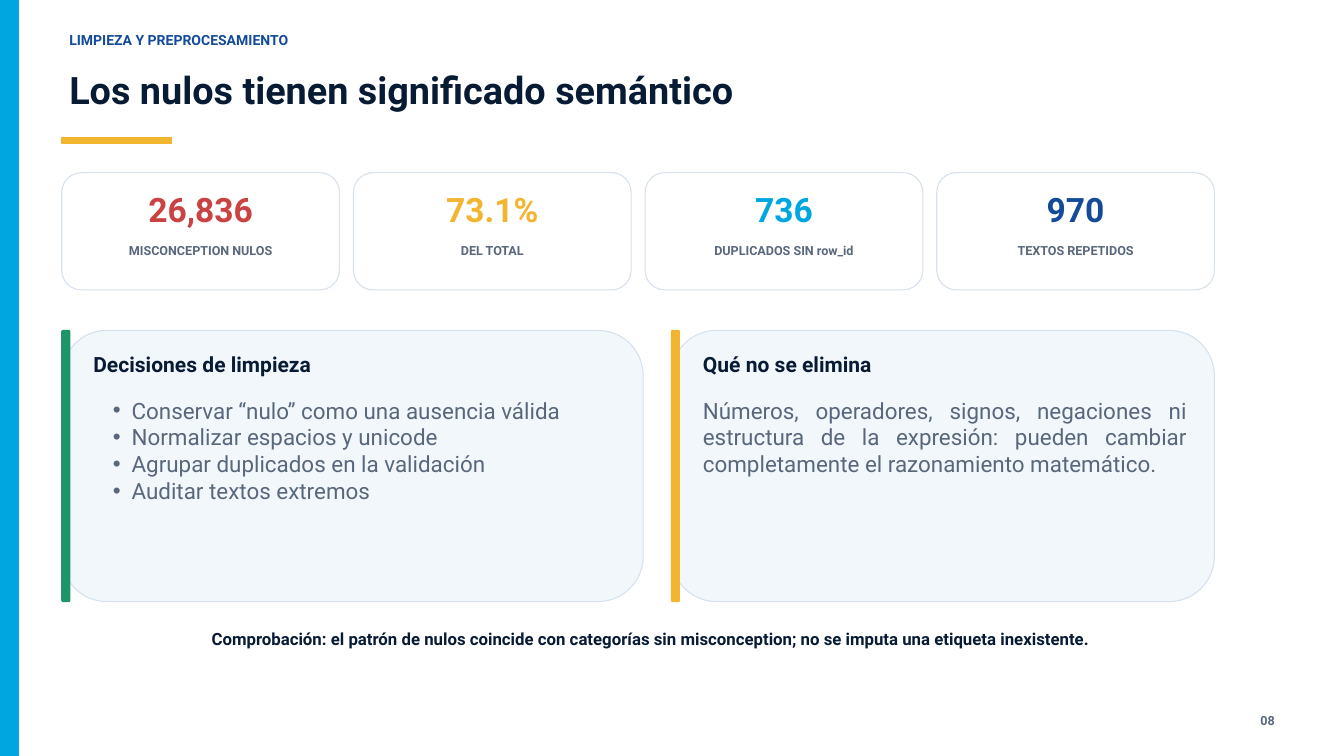
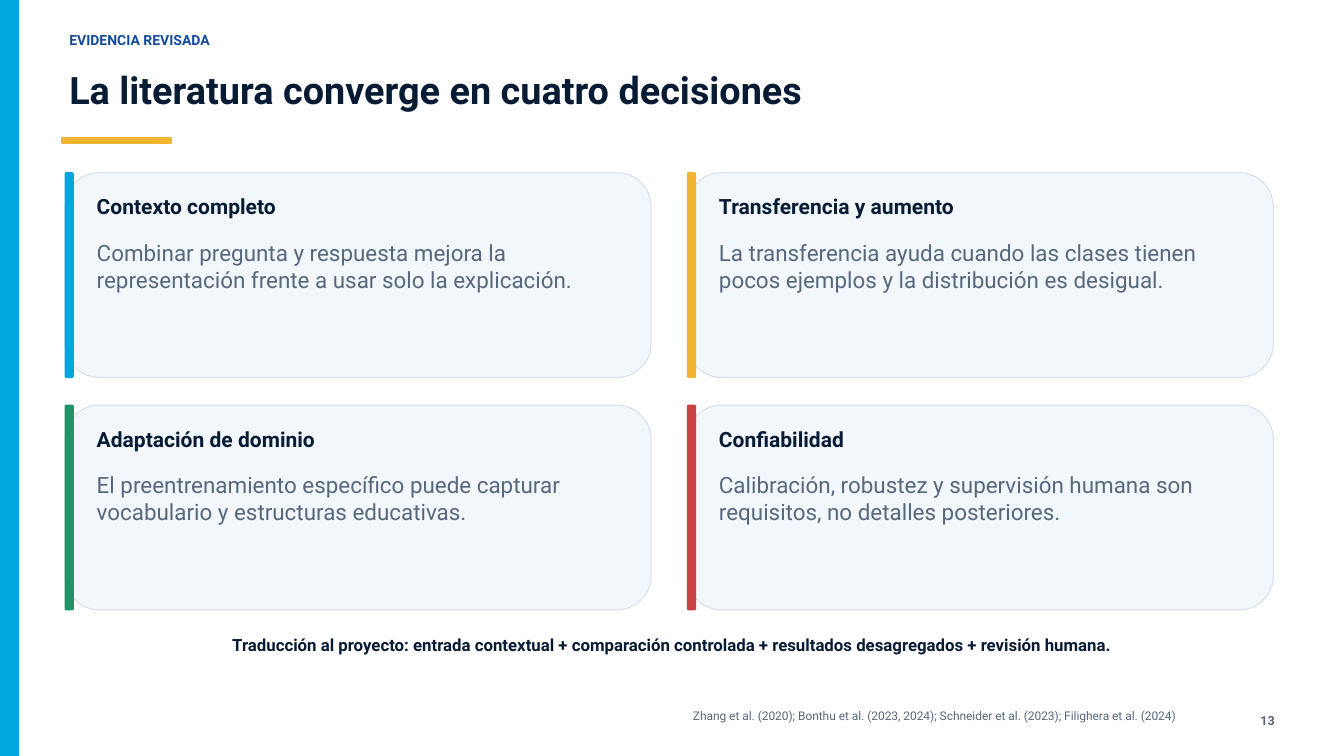
from lxml.etree import SubElement
from pptx import Presentation
from pptx.dml.color import RGBColor
from pptx.enum.shapes import MSO_SHAPE as Shape
from pptx.enum.text import MSO_ANCHOR as Anchor, MSO_AUTO_SIZE as Fit, PP_ALIGN as Align
from pptx.oxml.ns import qn
from pptx.util import Pt

FONT = "Roboto"
COLORS = {
    "cyan": "00A6E0", "blue": "134A9A", "navy": "081B34", "gold": "F2B531",
    "gray": "58687C", "red": "CA4241", "green": "1F9469",
    "white": "FFFFFF", "pale": "F2F7FC", "edge": "D6E1ED",
}
STYLES = {
    "kicker": (15, "blue", True), "title": (40.5, "navy", True),
    "page": (13.5, "gray", True), "value": (36, "navy", True),
    "label": (13.5, "gray", True), "head": (22.5, "navy", True),
    "body": (24, "gray", False), "note": (18, "navy", True),
    "source": (12.75, "gray", False),
}
LEFT, TOP = 66.2, 185


def tint(name):
    """Return the named colour."""
    return RGBColor.from_string(COLORS[name])


def block(slide, box, fill, edge=None, kind=Shape.ROUNDED_RECTANGLE):
    """Draw a filled shape with a thin line."""
    shape = slide.shapes.add_shape(kind, *map(Pt, box))
    shape.shadow.inherit = False
    shape.fill.solid()
    shape.fill.fore_color.rgb = tint(fill)
    shape.line.color.rgb = tint(edge or fill)
    shape.line.width = Pt(1.13)


def add_dot(par):
    """Give a paragraph a bullet and a hanging indent."""
    par.level = 1
    props = par._p.get_or_add_pPr()
    props.set("marL", str(Pt(41)))
    props.set("indent", str(Pt(-20)))
    SubElement(props, qn("a:buChar")).set("char", "•")


def write(slide, box, lines, style, align=Align.LEFT, color=None, holder=None, dots=False):
    """Fill a text box, or a moved placeholder, with styled lines."""
    size, shade, bold = STYLES[style]
    shape = holder or slide.shapes.add_textbox(*map(Pt, box))
    shape.left, shape.top, shape.width, shape.height = map(Pt, box)
    shape.element.getparent().append(shape.element)
    frame = shape.text_frame
    frame.text = lines
    frame.word_wrap = True
    frame.auto_size = Fit.SHAPE_TO_FIT_TEXT
    frame.vertical_anchor = Anchor.TOP
    frame.margin_left = frame.margin_right = frame.margin_top = frame.margin_bottom = 0
    for par in frame.paragraphs:
        if dots:
            add_dot(par)
        par.alignment = align
        par.line_spacing = Pt(size * 1.2)
        par.space_before = Pt(0)
        font = par.font
        font.name, font.size, font.bold = FONT, Pt(size), bold
        font.color.rgb = tint(color or shade)


def start(deck, layout, kicker, title, page):
    """Add a slide with its side band, heading and page number."""
    slide = deck.slides.add_slide(deck.slide_layouts[layout])
    block(slide, (-0.5, -0.5, 20.5, 811), "cyan", kind=Shape.RECTANGLE)
    write(slide, (74.2, 33.8, 904, 23), kicker, "kicker")
    write(slide, (74.2, 71.3, 1271.5, 69.8), title, "title", holder=slide.shapes.title)
    block(slide, (LEFT, 147.6, 118, 6.5), "gold", kind=Shape.RECTANGLE)
    write(slide, (1320.5, 764, 45.4, 16.6), page, "page", Align.RIGHT)
    return slide


def stat(slide, box, value, label, color):
    """Draw a figure above its label in a rounded frame."""
    x, y, w, h = box
    block(slide, box, "white", "edge")
    write(slide, (x + 20.9, y + 17.3, w - 41.8, 44), value, "value", Align.CENTER, color)
    write(slide, (x + 20.9, y + 74.9, w - 41.8, 21.6), label, "label", Align.CENTER)


def card(slide, box, color, head, body, **extra):
    """Draw a pale card with a coloured edge, a heading and a body."""
    x, y, w, h = box
    block(slide, box, "pale", "edge")
    block(slide, (x, y, 8.7, h), color)
    write(slide, (x + 33.8, y + 22.6, w - 63.4, 31), head, "head")
    write(slide, (x + 33.8, y + 71, w - 63.4, 114), body, "body", **extra)


def nulls(deck):
    """Build the slide on missing values."""
    slide = start(deck, 1, "LIMPIEZA Y PREPROCESAMIENTO",
                  "Los nulos tienen significado semántico", "08")
    stats = [
        ("26,836", "MISCONCEPTION NULOS", "red"),
        ("73.1%", "DEL TOTAL", "gold"),
        ("736", "DUPLICADOS SIN row_id", "cyan"),
        ("970", "TEXTOS REPETIDOS", "blue"),
    ]
    for i, parts in enumerate(stats):
        stat(slide, (LEFT + 312.5 * i, TOP, 297.5, 125.6), *parts)
    steps = [
        "Conservar “nulo” como una ausencia válida",
        "Normalizar espacios y unicode",
        "Agrupar duplicados en la validación",
        "Auditar textos extremos",
    ]
    card(slide, (LEFT, 354, 623, 290.6), "green", "Decisiones de limpieza",
         "\n".join(steps), holder=slide.placeholders[1], dots=True)
    card(slide, (719.3, 354, 581.8, 290.6), "gold", "Qué no se elimina",
         "Números, operadores, signos, negaciones ni estructura de la expresión: "
         "pueden cambiar completamente el razonamiento matemático.",
         align=Align.JUSTIFY)
    write(slide, (100, 674, 1193.8, 23),
          "Comprobación: el patrón de nulos coincide con categorías sin misconception; "
          "no se imputa una etiqueta inexistente.", "note", Align.CENTER)


def review(deck):
    """Build the slide on the reviewed literature."""
    slide = start(deck, 5, "EVIDENCIA REVISADA",
                  "La literatura converge en cuatro decisiones", "13")
    cards = [
        ("cyan", "Contexto completo", "Combinar pregunta y respuesta mejora la "
         "representación frente a usar solo la explicación."),
        ("gold", "Transferencia y aumento", "La transferencia ayuda cuando las clases "
         "tienen pocos ejemplos y la distribución es desigual."),
        ("green", "Adaptación de dominio", "El preentrenamiento específico puede "
         "capturar vocabulario y estructuras educativas."),
        ("red", "Confiabilidad", "Calibración, robustez y supervisión humana son "
         "requisitos, no detalles posteriores."),
    ]
    for i, parts in enumerate(cards):
        row, col = divmod(i, 2)
        card(slide, (69.8 + 666.7 * col, TOP + 249 * row, 627.8, 219.5), *parts)
    write(slide, (104.4, 680.4, 1230.5, 22.3),
          "Traducción al proyecto: entrada contextual + comparación controlada + "
          "resultados desagregados + revisión humana.", "note", Align.CENTER)
    write(slide, (596.2, 759.6, 663, 23.8),
          "Zhang et al. (2020); Bonthu et al. (2023, 2024); Schneider et al. (2023); "
          "Filighera et al. (2024)", "source", Align.RIGHT)


def main():
    """Build and save the deck."""
    deck = Presentation()
    deck.slide_width, deck.slide_height = Pt(1440), Pt(810)
    nulls(deck)
    review(deck)
    deck.save("out.pptx")


if __name__ == "__main__":
    main()
